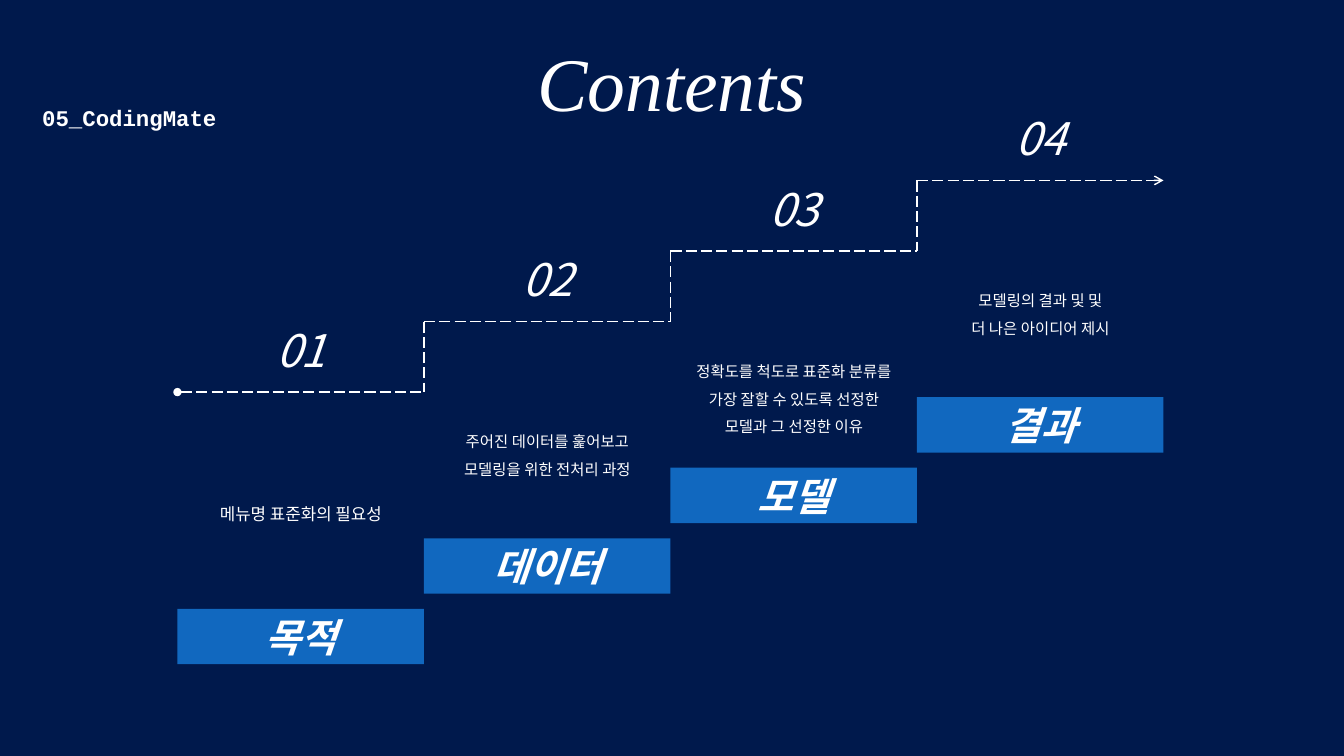
from lxml.etree import SubElement
from pptx import Presentation
from pptx.dml.color import RGBColor
from pptx.enum.dml import MSO_LINE
from pptx.enum.shapes import MSO_CONNECTOR, MSO_SHAPE
from pptx.enum.text import MSO_ANCHOR, PP_ALIGN
from pptx.oxml.ns import qn
from pptx.util import Inches, Pt

COLORS = {"navy": "00194C", "blue": "1168BF", "white": "FFFFFF"}
KOREAN = "Noto Sans CJK KR"
LEFT, STEP_W, STEP_H = 1.76, 9.78 / 4, 0.7
STEPS = [
    ("목적", ["메뉴명 표준화의 필요성"], 12, 0.38),
    ("데이터", ["주어진 데이터를 훑어보고", "모델링을 위한 전처리 과정"], 11, 0.66),
    ("모델", ["정확도를 척도로 표준화 분류를 가장 잘할 수 있도록 선정한 모델과 그 선정한 이유"], 11, 0.93),
    ("결과", ["모델링의 결과 및 및", "더 나은 아이디어 제시"], 11, 0.66),
]


def rgb(name):
    return RGBColor.from_string(COLORS[name])


class Deck:
    def __init__(self):
        self.prs = Presentation()
        self.prs.slide_width, self.prs.slide_height = Inches(13.33), Inches(7.5)
        self.s = self.prs.slides.add_slide(self.prs.slide_layouts[5])
        self.s.background.fill.solid()
        self.s.background.fill.fore_color.rgb = rgb("navy")

    def fill_text(self, sp, lines, size, font=KOREAN, bold=False, italic=False,
                  align=PP_ALIGN.CENTER, anchor=MSO_ANCHOR.TOP, spacing=None):
        tf = sp.text_frame
        tf.word_wrap = True
        tf.vertical_anchor = anchor
        tf.text = "\n".join(lines)
        for p in tf.paragraphs:
            p.alignment = align
            p.line_spacing = spacing
            for r in p.runs:
                r.font.name, r.font.size = font, Pt(size)
                r.font.bold, r.font.italic = bold, italic
                r.font.color.rgb = rgb("white")
                SubElement(r._r.get_or_add_rPr(), qn("a:ea"), typeface=font)

    def title(self, text, x, y, w, h, size, font):
        sp = self.s.shapes.title
        sp.left, sp.top, sp.width, sp.height = map(Inches, (x, y, w, h))
        self.fill_text(sp, [text], size, font, italic=True)

    def text(self, lines, x, y, w, h, size, **style):
        sp = self.s.shapes.add_textbox(*map(Inches, (x, y, w, h)))
        self.fill_text(sp, lines, size, **style)

    def bar(self, text, x, y, w, h):
        sp = self.s.shapes.add_shape(MSO_SHAPE.RECTANGLE, *map(Inches, (x, y, w, h)))
        sp.shadow.inherit = False
        sp.fill.solid()
        sp.fill.fore_color.rgb = rgb("blue")
        sp.line.fill.background()
        self.fill_text(sp, [text], 28, bold=True, italic=True, anchor=MSO_ANCHOR.MIDDLE)

    def line(self, x1, y1, x2, y2, head=None, tail=None):
        sp = self.s.shapes.add_connector(MSO_CONNECTOR.STRAIGHT, *map(Inches, (x1, y1, x2, y2)))
        sp.line.color.rgb = rgb("white")
        sp.line.width = Pt(1)
        sp.line.dash_style = MSO_LINE.LONG_DASH
        ln = sp._element.spPr.find(qn("a:ln"))
        for tag, kind in (("a:headEnd", head), ("a:tailEnd", tail)):
            if kind:
                SubElement(ln, qn(tag), type=kind)
        SubElement(sp._element.spPr, qn("a:effectLst"))


def main():
    deck = Deck()
    deck.title("Contents", 2.69, 0.31, 7.95, 1.01, 54, "Times New Roman")
    deck.text(["05_CodingMate"], 0.32, 0.98, 2.4, 0.37, 16,
              font="Courier New", bold=True, align=PP_ALIGN.LEFT)
    last = len(STEPS) - 1
    for i, (name, lines, size, height) in enumerate(STEPS):
        x, rise = LEFT + i * STEP_W, i * STEP_H
        y = 3.89 - rise
        deck.bar(name, x, 6.04 - rise, STEP_W, 0.55)
        deck.text(lines, x + 0.14, 4.85 - rise, 2.17, height, size, spacing=1.5)
        deck.text([f"{i + 1:02}"], x + 0.74, 3.15 - rise, 0.97, 0.64, 32, italic=True)
        deck.line(x, y, x + STEP_W, y, head="oval" if i == 0 else None,
                  tail="arrow" if i == last else None)
        if i:
            deck.line(x, y, x, y + STEP_H)
    deck.prs.save("out.pptx")


if __name__ == "__main__":
    main()
